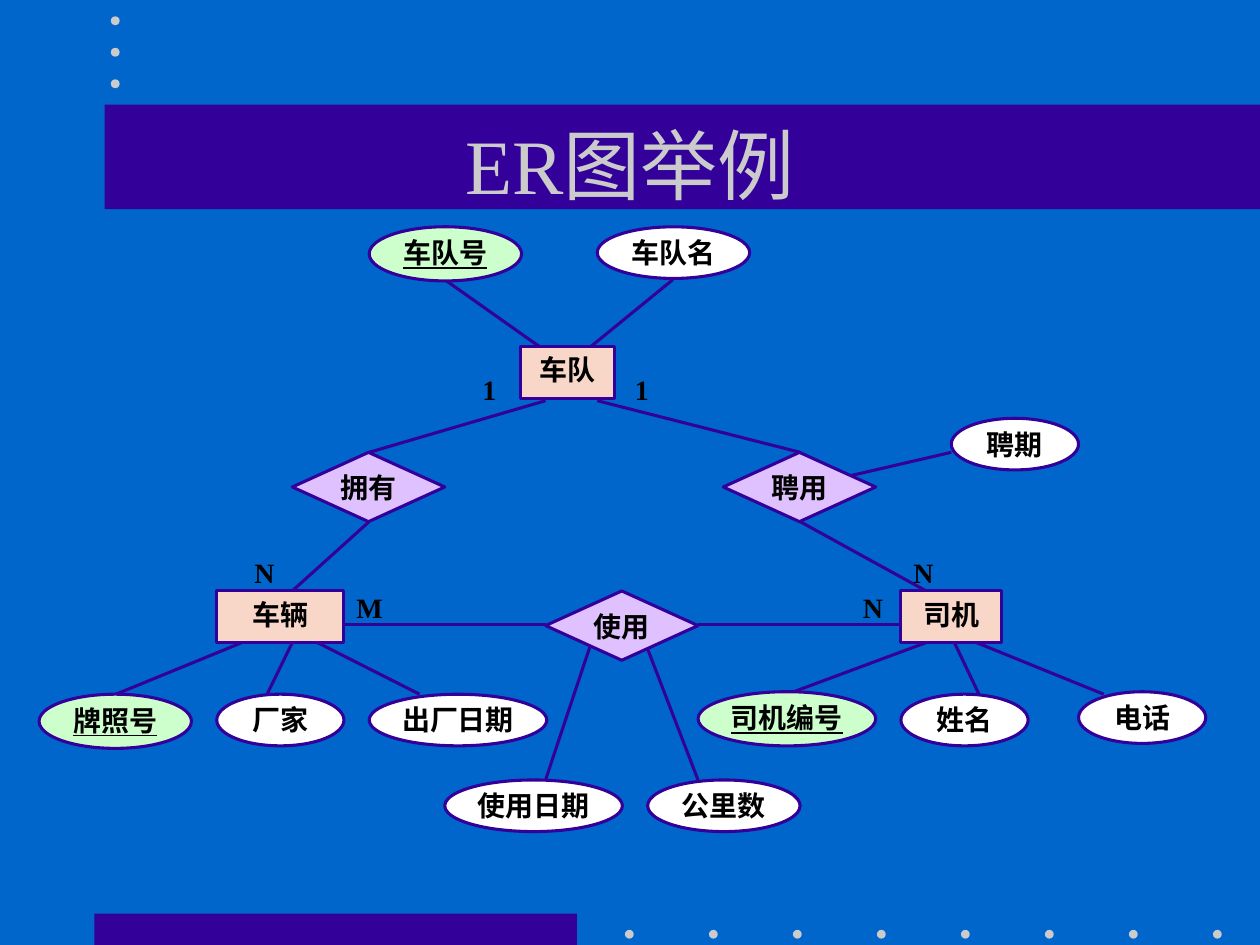
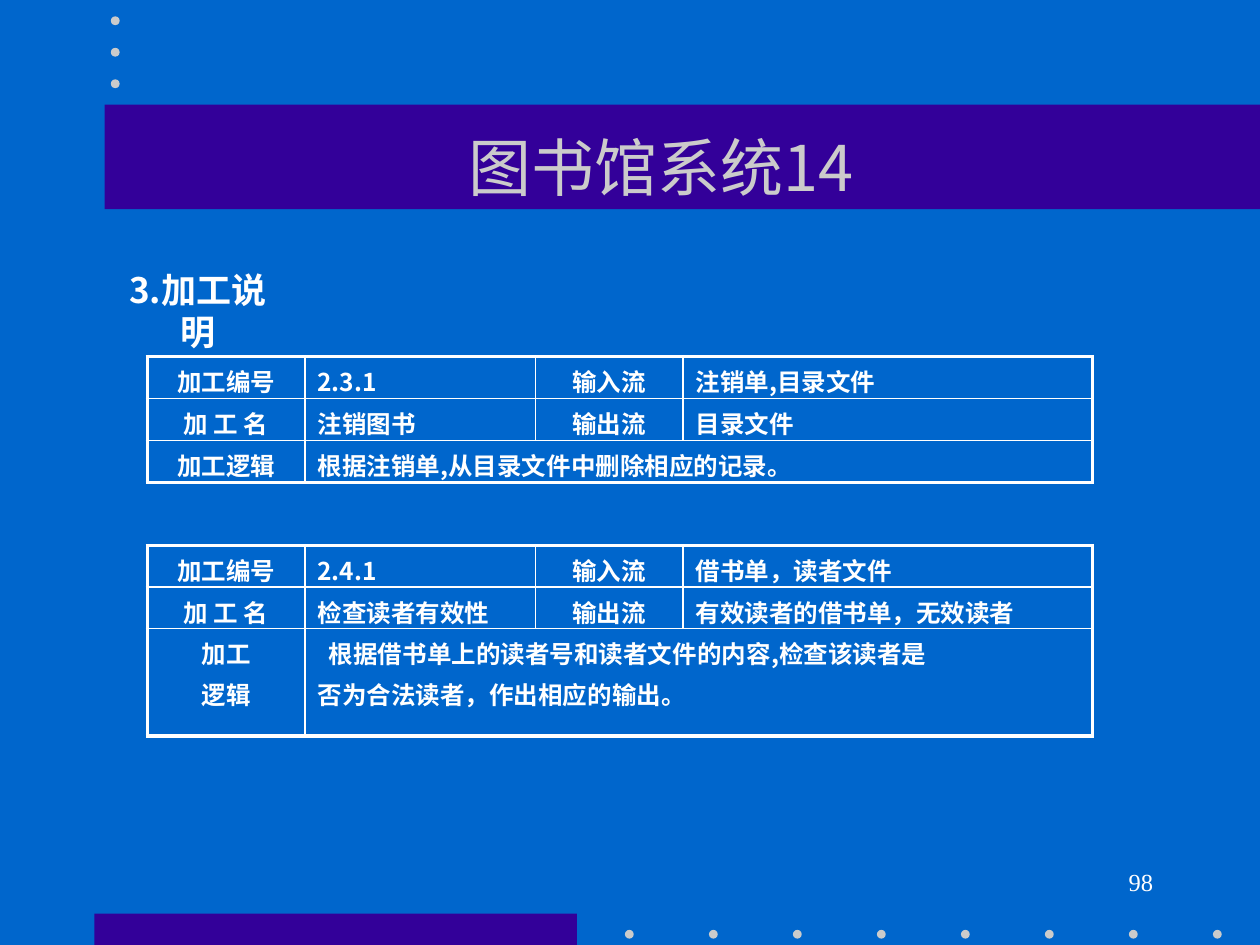
from dataclasses import dataclass

from lxml import etree
from pptx import Presentation
from pptx import util as u
from pptx.dml.color import RGBColor
from pptx.enum import shapes, text
from pptx.oxml.ns import qn


@dataclass(frozen=True)
class Theme:
    blue: str = "0066CC"
    purple: str = "330099"
    grey: str = "CBCBCB"
    white: str = "FFFFFF"
    black: str = "000000"
    key: str = "CCFFCC"
    entity: str = "F8D7C8"
    relation: str = "E0C1FF"
    serif: str = "Times New Roman"
    sans: str = "Noto Sans CJK SC"
    heading: int = 20
    node: int = 16
    small: int = 14
    line: float = 1.75
    frame: float = 2.25
    grid: float = 1


T = Theme()
SHAPE = shapes.MSO_SHAPE
ALIGN = text.PP_ALIGN


def write(tf, lines, size, font, color, bold=False, underline=False,
          align=ALIGN.CENTER, margins=None, wrap=False):
    """Fill a text frame or table cell text with one paragraph per line."""
    tf.word_wrap = wrap
    if margins:
        tf.margin_left, tf.margin_top, tf.margin_right, tf.margin_bottom = map(u.Inches, margins)
    for i, line in enumerate(lines.split("\n")):
        p = tf.paragraphs[0] if i == 0 else tf.add_paragraph()
        p.text = line
        p.alignment = align
        if i:
            p.space_before = u.Pt(size * 0.2)
        p.font.size, p.font.bold = u.Pt(size), bold
        if underline:
            p.font.underline = True
        p.font.color.rgb = RGBColor.from_string(color)
        p.font.name = font
        ea = etree.SubElement(p._p.pPr.find(qn("a:defRPr")), qn("a:ea"))
        ea.set("typeface", T.sans)


def add_block(s, kind, box, fill, outline=None):
    """Add a flat preset shape, outlined only when a colour is given."""
    sp = s.shapes.add_shape(kind, *map(u.Inches, box))
    sp.shadow.inherit = False
    sp.fill.solid()
    sp.fill.fore_color.rgb = RGBColor.from_string(fill)
    if outline:
        sp.line.color.rgb = RGBColor.from_string(outline)
        sp.line.width = u.Pt(T.line)
    else:
        sp.line.fill.background()
    return sp


prs = Presentation()
prs.slide_width, prs.slide_height = u.Inches(10), u.Inches(7.5)
background = prs.slide_master.background.fill
background.solid()
background.fore_color.rgb = RGBColor.from_string(T.blue)

# Both slides: bands, dots and title
titles = [
    ("ER图举例", (0.75, 0.67, 8.5, 1.25), 44, T.serif),
    ("图书馆系统14", (3.2, 1.02, 4.09, 0.6), 36, T.sans),
]
dots = [(4.96 + i * 2 / 3, 7.38) for i in range(8)] + [(0.88, 0.13 + i * 0.25) for i in range(3)]
for title, box, size, font in titles:
    s = prs.slides.add_slide(prs.slide_layouts[6])
    add_block(s, SHAPE.RECTANGLE, (0.75, 7.25, 3.83, 0.25), T.purple)
    add_block(s, SHAPE.RECTANGLE, (0.83, 0.83, 9.17, 0.83), T.purple)
    for x, y in dots:
        add_block(s, SHAPE.OVAL, (x, y, 0.07, 0.07), T.grey)
    tf = s.shapes.add_textbox(*map(u.Inches, box)).text_frame
    tf.vertical_anchor = text.MSO_ANCHOR.MIDDLE
    write(tf, title, size, font, T.grey, wrap=True)
er_slide, library_slide = prs.slides

# ER diagram: links between nodes
links = [
    (3.53, 2.22, 4.28, 2.75), (5.34, 2.22, 4.69, 2.75),
    (4.33, 3.18, 2.93, 3.59), (4.74, 3.18, 6.35, 3.59),
    (6.73, 3.78, 7.55, 3.59), (2.93, 4.14, 2.32, 4.69),
    (6.35, 4.14, 7.35, 4.69), (2.73, 4.96, 4.33, 4.96),
    (5.54, 4.96, 7.15, 4.96), (0.92, 5.51, 1.92, 5.1),
    (2.12, 5.51, 2.32, 5.1), (2.52, 5.1, 3.33, 5.51),
    (6.3, 5.49, 7.35, 5.1), (7.77, 5.51, 7.57, 5.09),
    (7.75, 5.1, 8.76, 5.51), (4.69, 5.11, 4.33, 6.19),
    (5.14, 5.15, 5.54, 6.19),
]
for ends in links:
    link = er_slide.shapes.add_connector(shapes.MSO_CONNECTOR.STRAIGHT, *map(u.Inches, ends))
    link.line.color.rgb = RGBColor.from_string(T.purple)
    link.line.width = u.Pt(T.line)
    etree.SubElement(link._element.spPr, qn("a:effectLst"))

# ER diagram: nodes by kind (shape, fill, height, top margin, underline)
kinds = {
    "entity": (SHAPE.RECTANGLE, T.entity, 0.41, 0.05, False),
    "relation": (SHAPE.FLOWCHART_DECISION, T.relation, 0.55, 0.01, False),
    "attribute": (SHAPE.OVAL, T.white, 0.41, 0.01, False),
    "key": (SHAPE.OVAL, T.key, 0.43, 0.01, True),
}
nodes = [
    ("entity", "车队", 4.13, 2.75, 0.75),
    ("entity", "车辆", 1.72, 4.69, 1.01),
    ("entity", "司机", 7.15, 4.69, 0.8),
    ("relation", "拥有", 2.32, 3.59, 1.21),
    ("relation", "聘用", 5.74, 3.59, 1.21),
    ("relation", "使用", 4.33, 4.69, 1.21),
    ("key", "车队号", 2.93, 1.8, 1.21),
    ("key", "牌照号", 0.31, 5.51, 1.21),
    ("key", "司机编号", 5.54, 5.49, 1.41),
    ("attribute", "车队名", 4.74, 1.8, 1.21),
    ("attribute", "聘期", 7.55, 3.32, 1.01),
    ("attribute", "厂家", 1.72, 5.51, 1.01),
    ("attribute", "出厂日期", 2.93, 5.51, 1.41),
    ("attribute", "姓名", 7.15, 5.51, 1.01),
    ("attribute", "电话", 8.56, 5.49, 1.01),
    ("attribute", "使用日期", 3.53, 6.19, 1.41),
    ("attribute", "公里数", 5.14, 6.19, 1.21),
]
for kind, name, x, y, width in nodes:
    preset, fill, height, top, underline = kinds[kind]
    sp = add_block(er_slide, preset, (x, y, width, height), fill, T.purple)
    sp.text_frame.vertical_anchor = text.MSO_ANCHOR.TOP
    write(sp.text_frame, name, T.node, T.serif, T.black, bold=True,
          underline=underline, margins=(0, top, 0, 0))

# ER diagram: cardinalities
cardinalities = [
    ("1", 3.73, 2.91, 0.05), ("1", 4.94, 2.91, 0.05),
    ("N", 1.92, 4.41, 0), ("N", 7.15, 4.41, 0),
    ("M", 2.73, 4.69, 0), ("N", 6.75, 4.69, 0),
]
for label, x, y, top in cardinalities:
    tf = er_slide.shapes.add_textbox(*map(u.Inches, (x, y, 0.47, 0.41))).text_frame
    write(tf, label, T.node, T.serif, T.black, bold=True, align=ALIGN.JUSTIFY,
          margins=(0.1, top, 0.1, top), wrap=True)

# Library system: heading and page number
tf = library_slide.shapes.add_textbox(*map(u.Inches, (0.87, 2.08, 1.4, 0.77))).text_frame
write(tf, "3.加工说明", T.heading, T.sans, T.white, bold=True, wrap=True)
tf = library_slide.shapes.add_textbox(*map(u.Inches, (7.17, 6.83, 2.08, 0.5))).text_frame
write(tf, "98", T.small, T.serif, T.white, align=ALIGN.RIGHT, wrap=True)

# Library system: process tables (top, row heights, bottom cell margin, rows)
columns = [1.25, 1.83, 1.17, 3.25]
processes = [
    (2.83, [0.33, 0.33, 0.33], 0.05, [
        ["加工编号", "2.3.1", "输入流", "注销单,目录文件"],
        ["加 工 名", "注销图书", "输出流", "目录文件"],
        ["加工逻辑", "根据注销单,从目录文件中删除相应的记录。", "", ""],
    ]),
    (4.33, [0.33, 0.33, 0.85], 0, [
        ["加工编号", "2.4.1", "输入流", "借书单，读者文件"],
        ["加 工 名", "检查读者有效性", "输出流", "有效读者的借书单，无效读者"],
        ["加工\n逻辑", "根据借书单上的读者号和读者文件的内容,检查该读者是\n否为合法读者，作出相应的输出。", "", ""],
    ]),
]
for top, heights, bottom, rows in processes:
    box = (1.17, top, sum(columns), sum(heights))
    table = library_slide.shapes.add_table(3, 4, *map(u.Inches, box)).table
    table.first_row = table.horz_banding = False
    for column, width in zip(table.columns, columns):
        column.width = u.Inches(width)
    for row, height in zip(table.rows, heights):
        row.height = u.Inches(height)
    table.cell(2, 1).merge(table.cell(2, 3))
    for r, row in enumerate(rows):
        for c, value in enumerate(row):
            cell = table.cell(r, c)
            cell.margin_bottom = u.Inches(bottom)
            cell.fill.background()
            if value:
                write(cell.text_frame, value, T.small, T.sans, T.white, bold=True, wrap=True,
                      align=ALIGN.LEFT if c % 2 else ALIGN.CENTER)
            outer = {"lnL": c == 0, "lnR": c == 3 or (r == 2 and c == 1),
                     "lnT": r == 0, "lnB": r == 2}
            for i, (side, is_outer) in enumerate(outer.items()):
                ln = etree.Element(qn("a:" + side), w=str(u.Pt(T.frame if is_outer else T.grid)))
                solid = etree.SubElement(ln, qn("a:solidFill"))
                etree.SubElement(solid, qn("a:srgbClr"), val=T.white)
                cell._tc.tcPr.insert(i, ln)

# First-line indent of the longer process description
p = table.cell(2, 1).text_frame.paragraphs[0]
p._p.pPr.set("indent", str(u.Inches(0.09)))

prs.save("out.pptx")
